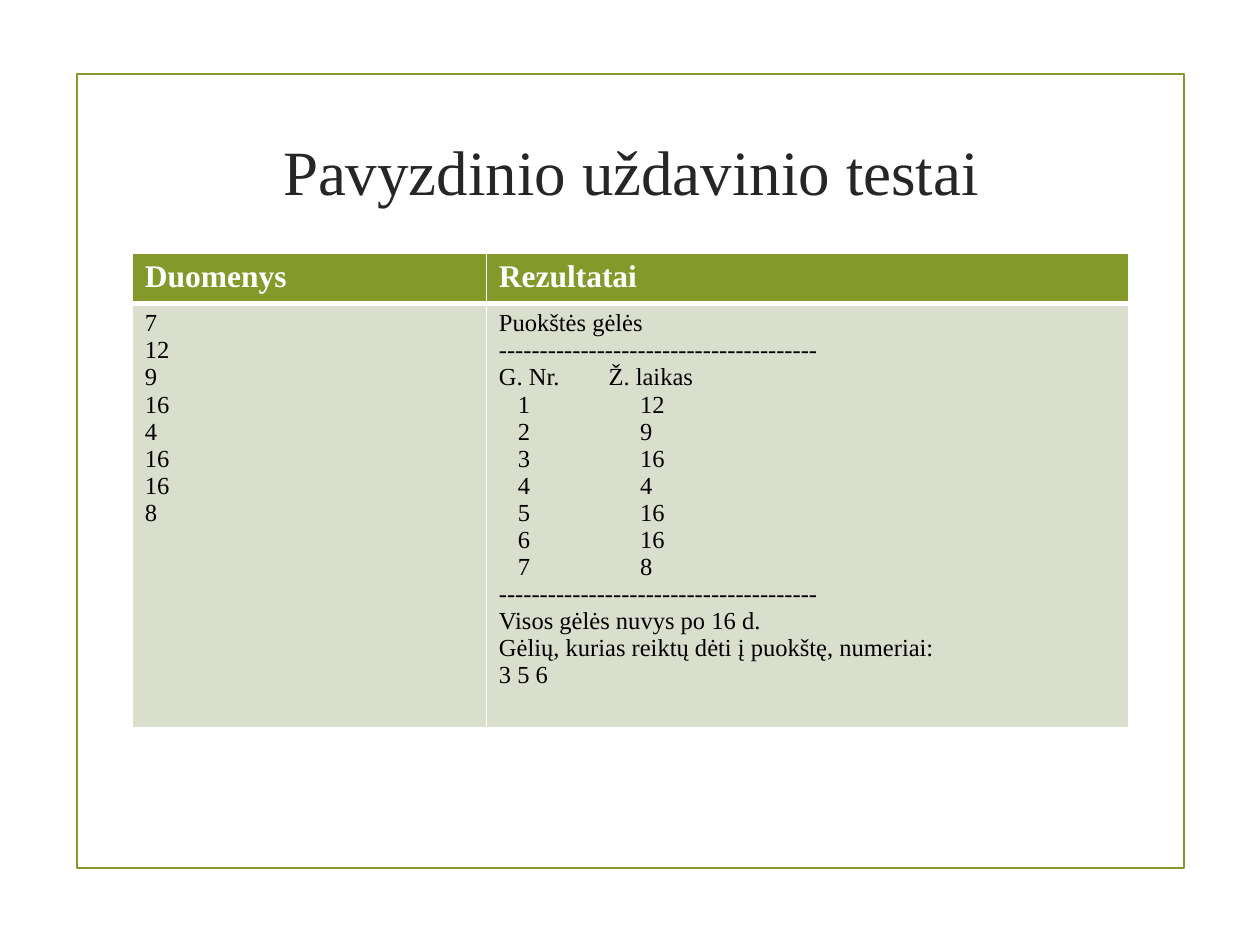
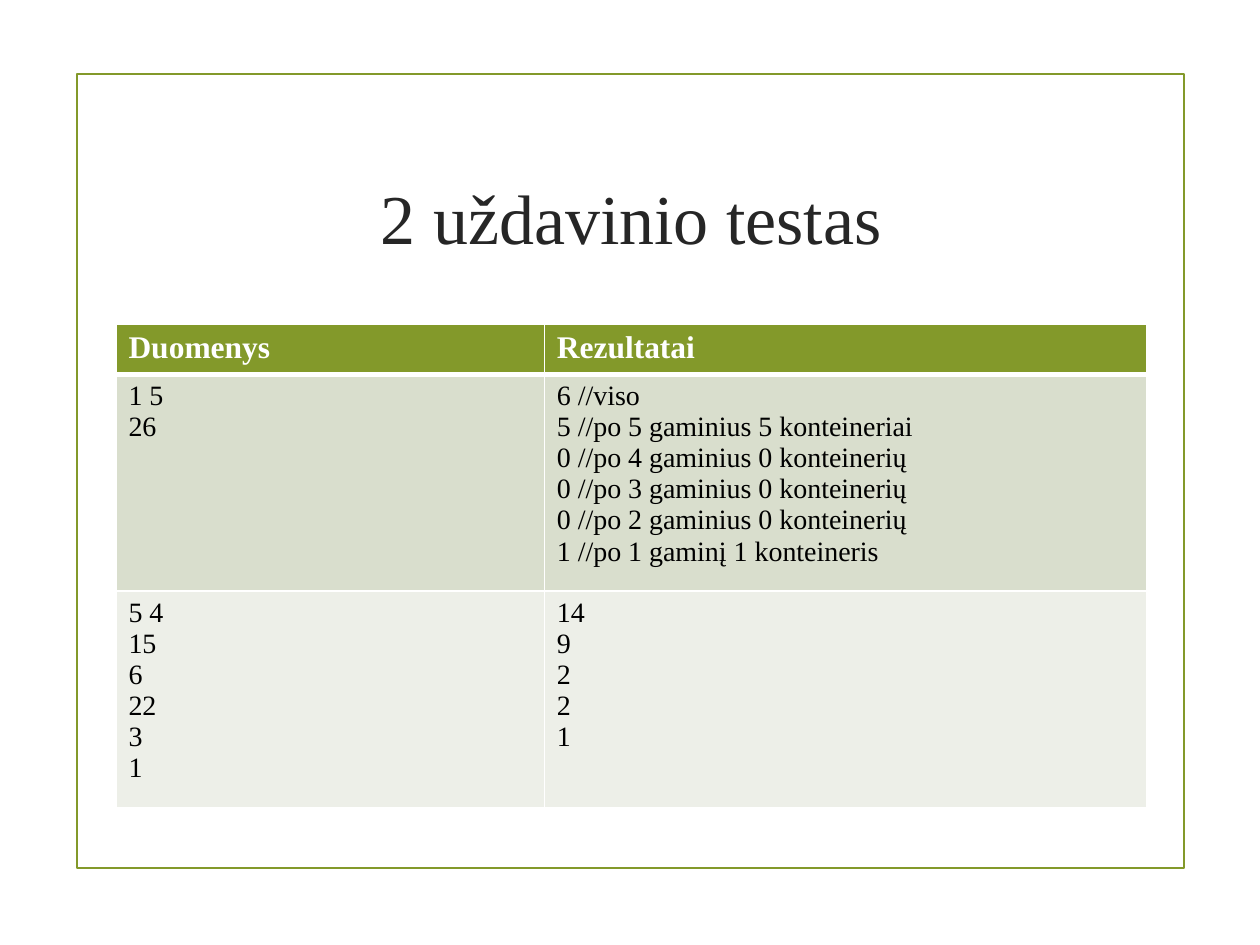
from pptx import Presentation
from pptx.dml.color import RGBColor
from pptx.enum.shapes import MSO_SHAPE
from pptx.enum.text import MSO_ANCHOR, PP_ALIGN
from pptx.oxml.ns import qn
from pptx.util import Inches, Pt
from lxml import etree

COLORS = {
    "green": "83992A",
    "title": "262626",
    "text": "000000",
    "white": "FFFFFF",
    "band_dark": "D9DECD",
    "band_light": "EDEFE8",
}
FONT = "Times New Roman"
FRAME_BOX = (0.61, 0.59, 8.79, 6.3)
HEADER_HEIGHT = 0.37
HEADINGS = ("Duomenys", "Rezultatai")
DASHES = "-" * 39
# Tab positions, in inches, of the flower list and its heading
HEADING_TABS = (0.87,)
LIST_TABS = (0.15, 1.12)

FLOWER_DAYS = (12, 9, 16, 4, 16, 16, 8)
FLOWER_DATA = [str(len(FLOWER_DAYS)), *map(str, FLOWER_DAYS)]
FLOWER_RESULTS = [
    "Puokštės gėlės",
    DASHES,
    "G. Nr.\tŽ. laikas",
    *(f"\t{number}\t{days}" for number, days in enumerate(FLOWER_DAYS, 1)),
    DASHES,
    "Visos gėlės nuvys po 16 d.",
    "Gėlių, kurias reiktų dėti į puokštę, numeriai:",
    "3 5 6",
]
CONTAINER_TESTS = [
    (
        ["1 5", "26"],
        [
            "6 //viso",
            "5 //po 5 gaminius 5 konteineriai",
            *(f"0 //po {size} gaminius 0 konteinerių" for size in (4, 3, 2)),
            "1 //po 1 gaminį 1 konteineris",
        ],
    ),
    (["5 4", "15", "6", "22", "3", "1"], ["14", "9", "2", "2", "1"]),
]


def rgb(name):
    return RGBColor.from_string(COLORS[name])


def style_font(paragraph, size, color, bold=False):
    font = paragraph.font
    font.name, font.size, font.bold = FONT, Pt(size), bold
    font.color.rgb = rgb(color)


def add_frame(slide, box):
    frame = slide.shapes.add_shape(MSO_SHAPE.RECTANGLE, *map(Inches, box))
    frame.shadow.inherit = False
    frame.fill.background()
    frame.line.color.rgb = rgb("green")
    frame.line.width = Pt(1.25)


def add_title(slide, box, text, size):
    title = slide.shapes.add_textbox(*map(Inches, box)).text_frame
    title.word_wrap = True
    title.vertical_anchor = MSO_ANCHOR.MIDDLE
    paragraph = title.paragraphs[0]
    paragraph.text = text
    paragraph.alignment = PP_ALIGN.CENTER
    style_font(paragraph, size, "title")


def set_tabs(paragraph, positions):
    tab_list = etree.Element(qn("a:tabLst"))
    for position in positions:
        etree.SubElement(tab_list, qn("a:tab"), pos=str(Inches(position)), algn="l")
    paragraph._p.get_or_add_pPr().insert(0, tab_list)


def set_borders(cell, top, bottom):
    properties = cell._tc.get_or_add_tcPr()
    widths = {"L": 1, "R": 1, "T": top, "B": bottom}
    for index, (side, width) in enumerate(widths.items()):
        border = etree.Element(qn(f"a:ln{side}"), w=str(Pt(width)))
        fill = etree.SubElement(border, qn("a:solidFill"))
        etree.SubElement(fill, qn("a:srgbClr"), val=COLORS["white"])
        properties.insert(index, border)


def fill_cell(cell, lines, fill, size, color, bold=False):
    cell.fill.solid()
    cell.fill.fore_color.rgb = rgb(fill)
    text_frame = cell.text_frame
    for index, line in enumerate(lines):
        paragraph = text_frame.add_paragraph() if index else text_frame.paragraphs[0]
        paragraph.text = line
        style_font(paragraph, size, color, bold)
        if "\t" in line:
            set_tabs(paragraph, LIST_TABS if line.startswith("\t") else HEADING_TABS)


def add_test_table(slide, left, top, column_widths, row_height, tests, size):
    heights = [HEADER_HEIGHT] + [row_height] * len(tests)
    box = (left, top, sum(column_widths), sum(heights))
    table = slide.shapes.add_table(
        len(heights), len(column_widths), *map(Inches, box)
    ).table
    for column, width in zip(table.columns, column_widths):
        column.width = Inches(width)
    for row, height in zip(table.rows, heights):
        row.height = Inches(height)

    # Header row, set off by a thick rule
    for column, heading in enumerate(HEADINGS):
        cell = table.cell(0, column)
        fill_cell(cell, [heading], "green", 18, "white", bold=True)
        set_borders(cell, top=1, bottom=3)

    # One banded row for each test
    for row, test in enumerate(tests, 1):
        band = "band_dark" if row % 2 else "band_light"
        for column, lines in enumerate(test):
            cell = table.cell(row, column)
            fill_cell(cell, lines, band, size, "text")
            set_borders(cell, top=3 if row == 1 else 1, bottom=1)


def add_test_slide(deck, title, title_height, title_size, **table):
    slide = deck.slides.add_slide(deck.slide_layouts[6])
    add_frame(slide, FRAME_BOX)
    add_title(slide, (1.29, 1, 7.44, title_height), title, title_size)
    add_test_table(slide, **table)


def main():
    deck = Presentation()
    deck.slide_width, deck.slide_height = Inches(10), Inches(7.5)
    add_test_slide(
        deck, "Pavyzdinio uždavinio testai", 0.71, 36,
        left=1.05, top=2.01, column_widths=(2.81, 5.1), row_height=3.25,
        tests=[(FLOWER_DATA, FLOWER_RESULTS)], size=14,
    )
    add_test_slide(
        deck, "2 uždavinio testas", 1.43, 40,
        left=0.92, top=2.57, column_widths=(3.4, 4.78), row_height=1.72,
        tests=CONTAINER_TESTS, size=16,
    )
    deck.save("out.pptx")


if __name__ == "__main__":
    main()
